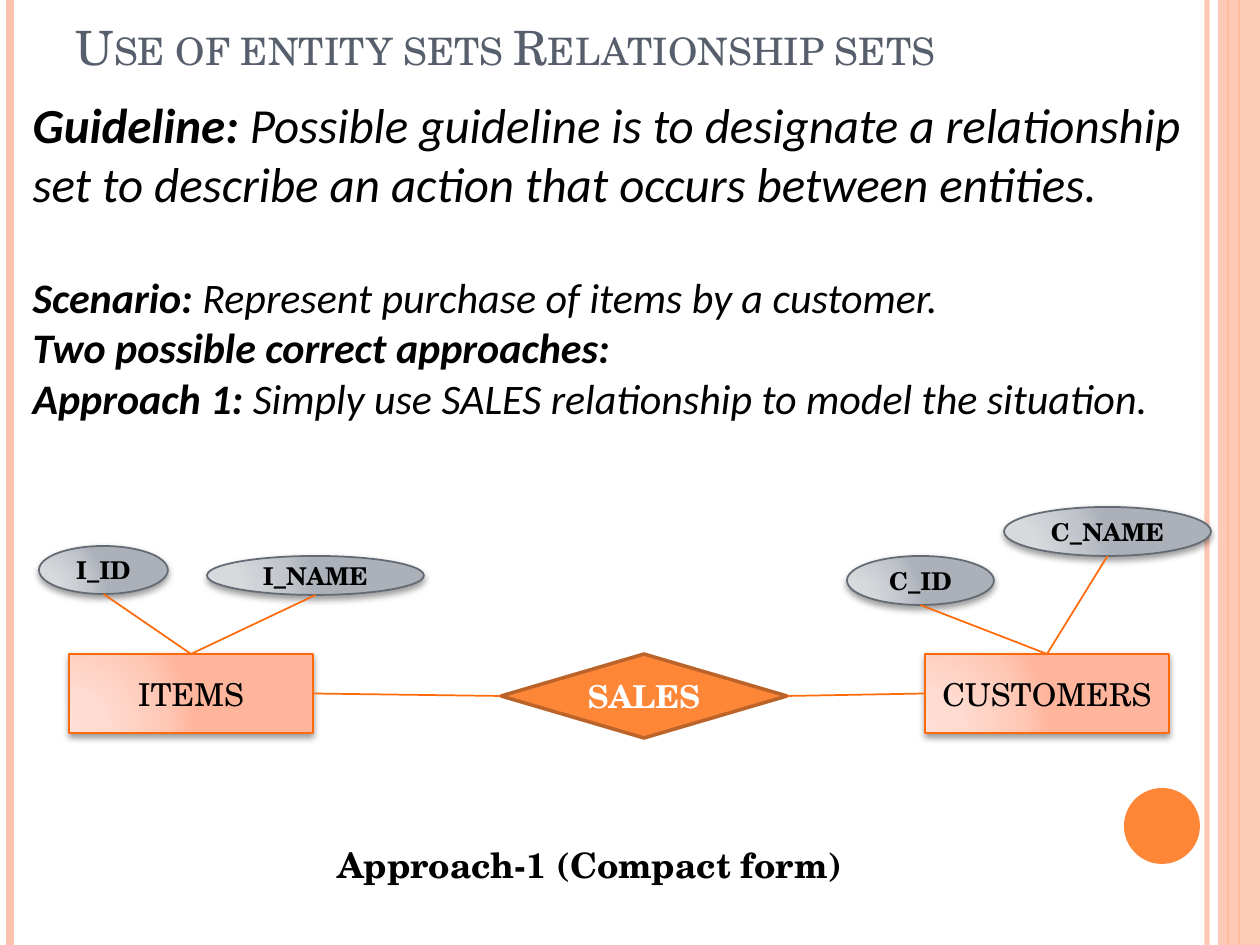
from lxml import etree
from pptx import Presentation, util as u
from pptx.dml.color import RGBColor
from pptx.enum import shapes as sh, text as tx
from pptx.oxml import parse_xml
from pptx.oxml.ns import nsdecls, qn

PX = u.Inches(1) / 126
SERIF, SANS = "TeX Gyre Schola", "Calibri"
ORANGE, PALE, EDGE = "FE8637", "FEC3AE", "FF6B0A"
PEACH = ["FFDED5", "FFDBD0", "FFC8B6", "FFB59B"]
GREY = ["DADCE0", "D7D9DD", "C1C5CB", "ABB0B9"]

deck = Presentation()
deck.slide_width, deck.slide_height = u.Inches(10), u.Inches(7.5)
slide = deck.slides.add_slide(deck.slide_layouts[1])


def px(*nums):
    return [round(n * PX) for n in nums]


def write(par, words, size=18, font=SERIF, color="000000", bold=False,
          italic=False, caps=False):
    run = par.add_run()
    run.text = words
    face = run.font
    face.size, face.name = u.Pt(size), font
    face.bold, face.italic = bold, italic
    face.color.rgb = RGBColor.from_string(color)
    if caps:
        run._r.get_or_add_rPr().set("cap", "small")


# Side bars and disc: x, width in points, colour, opacity
for x, wide, color, solid in [(1207, 3, PALE, 93), (10, 4.5, PALE, 100),
                              (1239, 1.5, ORANGE, 100), (1228, 0.75, ORANGE, 100)]:
    bar = slide.shapes.add_connector(sh.MSO_CONNECTOR.STRAIGHT, *px(x, 0, x, 945))
    bar.line.width = u.Pt(wide)
    bar.line.color.rgb = RGBColor.from_string(color)
    etree.SubElement(bar._element.spPr, qn("a:effectLst"))
    if solid < 100:
        tint = bar._element.spPr.find(".//" + qn("a:srgbClr"))
        etree.SubElement(tint, qn("a:alpha"), val=str(solid * 1000))

for kind, box, color, solid in [
        (sh.MSO_SHAPE.RECTANGLE, (1218, 0, 42, 945), PALE, 87),
        (sh.MSO_SHAPE.OVAL, (1124, 788, 76, 76), ORANGE, 100)]:
    deco = slide.shapes.add_shape(kind, *px(*box))
    deco.shadow.inherit = False
    deco.fill.solid()
    deco.fill.fore_color.rgb = RGBColor.from_string(color)
    deco.line.fill.background()
    if solid < 100:
        tint = deco._element.spPr.find(".//" + qn("a:srgbClr"))
        etree.SubElement(tint, qn("a:alpha"), val=str(solid * 1000))

# Title and body
title, body = slide.placeholders
title.left, title.top, title.width, title.height = px(63, 10, 1029, 71)
title.text_frame.auto_size = tx.MSO_AUTO_SIZE.NONE
title.text_frame.vertical_anchor = tx.MSO_ANCHOR.BOTTOM
head = title.text_frame.paragraphs[0]
head.alignment = tx.PP_ALIGN.LEFT
write(head, "Use of entity sets Relationship sets", size=27, color="575F6D", caps=True)

body.left, body.top, body.width, body.height = px(20, 88, 1182, 462)
frame = body.text_frame
frame.auto_size = tx.MSO_AUTO_SIZE.NONE
lines = [
    ("Guideline: ", "Possible guideline is to designate a relationship set "
     "to describe an action that occurs between entities.", 28, 0),
    ("Scenario: ", "Represent purchase of items by a customer.", 24, 34),
    ("Two possible correct approaches:", "", 24, 0),
    ("Approach 1: ", "Simply use SALES relationship to model the situation.", 24, 0),
]
for i, (label, rest, size, gap) in enumerate(lines):
    par = frame.add_paragraph() if i else frame.paragraphs[0]
    props = par._p.get_or_add_pPr()
    props.set("marL", "0")
    props.set("indent", "0")
    etree.SubElement(props, qn("a:buNone"))
    par.space_before = u.Pt(gap)
    write(par, label, size=size, font=SANS, bold=True, italic=True)
    if rest:
        write(par, rest, size=size, font=SANS, italic=True)

# Diagram nodes: kind, box, gradient or flat fill, line, line width, text format
RECT, OVAL = sh.MSO_SHAPE.RECTANGLE, sh.MSO_SHAPE.OVAL
entity = (RECT, PEACH, EDGE, 1, dict(size=18))
field = (OVAL, GREY, "636A74", 1, dict(size=14, bold=True))
action = (sh.MSO_SHAPE.FLOWCHART_DECISION, ORANGE, "BC6329", 2,
          dict(size=18, bold=True, color="FFFFFF"))
nodes = {
    "ITEMS": (entity, (69, 654, 244, 79)),
    "CUSTOMERS": (entity, (925, 654, 244, 79)),
    "SALES": (action, (501, 654, 286, 84)),
    "C_ID": (field, (847, 556, 147, 49)),
    "C_NAME": (field, (1004, 507, 207, 49)),
    "I_ID": (field, (39, 546, 129, 48)),
    "I_NAME": (field, (207, 556, 217, 39)),
}
for name, ((kind, fill, edge, wide, style), box) in nodes.items():
    node = slide.shapes.add_shape(kind, *px(*box))
    node.shadow.inherit = False
    node.line.color.rgb = RGBColor.from_string(edge)
    node.line.width = u.Pt(wide)
    if fill == ORANGE:
        node.fill.solid()
        node.fill.fore_color.rgb = RGBColor.from_string(fill)
    else:
        stops = "".join(f'<a:gs pos="{at}000"><a:srgbClr val="{c}"/></a:gs>'
                        for at, c in zip((0, 30, 75, 100), fill))
        node._element.spPr.insert(2, parse_xml(
            f'<a:gradFill {nsdecls("a")} rotWithShape="1"><a:gsLst>{stops}</a:gsLst>'
            '<a:path path="circle"><a:fillToRect l="5000" t="100000" r="120000" '
            'b="10000"/></a:path></a:gradFill>'))
        node._element.spPr.find(qn("a:effectLst")).append(parse_xml(
            f'<a:outerShdw {nsdecls("a")} blurRad="50800" dist="25400" dir="5400000" '
            'rotWithShape="0"><a:srgbClr val="000000"><a:alpha val="40000"/>'
            '</a:srgbClr></a:outerShdw>'))
    node.text_frame.vertical_anchor = tx.MSO_ANCHOR.MIDDLE
    par = node.text_frame.paragraphs[0]
    par.alignment = tx.PP_ALIGN.CENTER
    write(par, name, **style)

# Links: sides as fractions of each node's box
TOP, LOW, LEFT, RIGHT = (0.5, 0), (0.5, 1), (0, 0.5), (1, 0.5)
links = [("SALES", RIGHT, "CUSTOMERS", LEFT), ("ITEMS", RIGHT, "SALES", LEFT),
         ("I_ID", LOW, "ITEMS", TOP), ("I_NAME", LOW, "ITEMS", TOP),
         ("C_NAME", LOW, "CUSTOMERS", TOP), ("C_ID", LOW, "CUSTOMERS", TOP)]
for first, out, last, into in links:
    ends = []
    for name, (fx, fy) in ((first, out), (last, into)):
        x, y, w, h = nodes[name][1]
        ends += [x + w * fx, y + h * fy]
    link = slide.shapes.add_connector(sh.MSO_CONNECTOR.STRAIGHT, *px(*ends))
    link.line.color.rgb = RGBColor.from_string(EDGE)
    link.line.width = u.Pt(1)
    etree.SubElement(link._element.spPr, qn("a:effectLst"))

note = slide.shapes.add_textbox(*px(325, 837, 581, 55))
note.text_frame.word_wrap = True
write(note.text_frame.paragraphs[0], "Approach-1 (Compact form)", size=20, bold=True)

deck.save("out.pptx")
